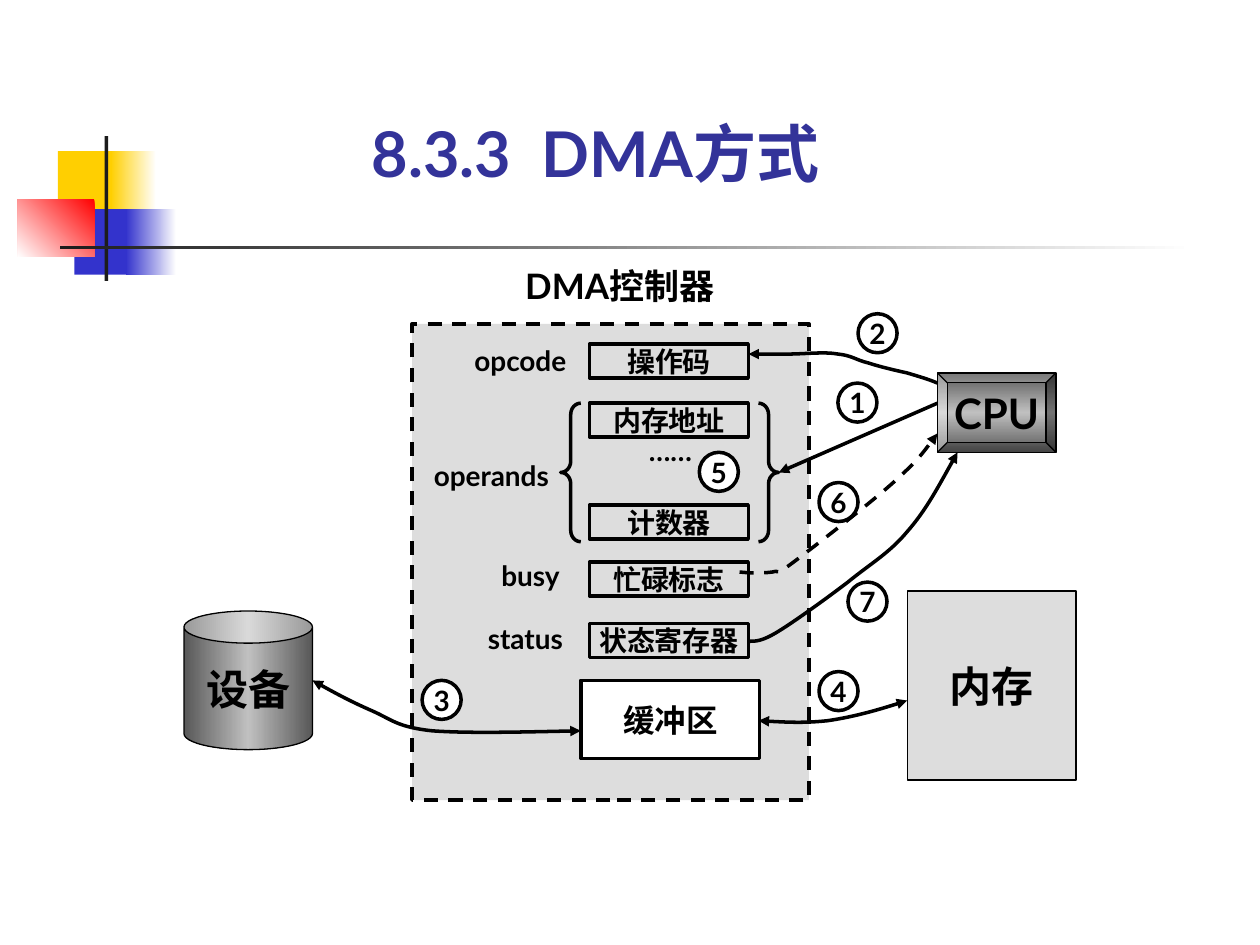
from copy import deepcopy
from lxml import etree
from pptx import Presentation, util as u
from pptx.dml.color import RGBColor
from pptx.enum import dml, shapes, text
from pptx.oxml.ns import qn

WIDE, HIGH = 10, 7.5
FONT = "Lato"
HUES = {"ink": "000000", "white": "FFFFFF", "pale": "DDDDDD", "dark": "585858",
        "steel": "C0C0C0", "gold": "FFCF01", "blue": "3333CC", "red": "FF0000",
        "coal": "1C1C1C", "title": "333399"}
KIND = shapes.MSO_SHAPE

# fill: None, one hue, or (angle clockwise, hue, hue, ...)
DECOR = [
    ((0.46, 1.2, 0.48, 0.52), "gold"),
    ((0.88, 1.2, 0.36, 0.52), (180, "white", "gold")),
    ((0.59, 1.66, 0.46, 0.52), "blue"),
    ((1, 1.66, 0.4, 0.52), (180, "white", "blue")),
    ((0.14, 1.58, 0.61, 0.46), (135, "red", "white")),
    ((0.83, 1.08, 0.03, 1.15), "coal"),
    ((0.48, 1.95, 9, 0.03), (180, "white", "coal")),
]
TITLE = "8.3.3  DMA方式"
REG_X, REG_W, ROW = 4.68, 1.26, 0.27
REGS = [("操作码", 2.73), ("内存地址", 3.2), ("计数器", 4.01),
        ("忙碌标志", 4.46), ("状态寄存器", 4.95)]
# text, centre x, top, width, size
LABELS = [("DMA控制器", 4.92, 2.1, 1.73, 20), ("opcode", 4.13, 2.73, 0.94, 16),
          ("operands", 3.9, 3.64, 1.1, 16), ("busy", 4.21, 4.43, 0.79, 16),
          ("status", 4.17, 4.93, 0.86, 16), ("……", 5.32, 3.44, 0.63, 16)]
BRACES = [(KIND.LEFT_BRACE, 4.45), (KIND.RIGHT_BRACE, 6.02)]
DOT = 0.31
STEPS = [("1", 6.65, 3.04, None), ("2", 6.81, 2.49, None), ("3", 3.35, 5.4, "white"),
         ("4", 6.5, 5.33, None), ("5", 5.55, 3.59, "white"), ("6", 6.5, 3.83, None),
         ("7", 6.73, 4.62, None)]
# Bezier points (start, then three per piece), arrow at both ends, dashed
CURVES = [
    ([(7.44, 3.04), (7.37, 3.01), (7.3, 2.99), (7.2, 2.96), (7.11, 2.94), (6.98, 2.91),
      (6.89, 2.88), (6.8, 2.86), (6.76, 2.82), (6.65, 2.81), (6.55, 2.79), (6.38, 2.81),
      (6.26, 2.81), (6.14, 2.81), (6.04, 2.81), (5.94, 2.81)], False, False),
    ([(2.48, 5.4), (2.64, 5.49), (2.79, 5.57), (2.95, 5.64), (3.11, 5.71), (3.15, 5.77),
      (3.43, 5.8), (3.7, 5.82), (4.15, 5.81), (4.61, 5.8)], True, False),
    ([(6.02, 5.72), (6.2, 5.73), (6.38, 5.74), (6.57, 5.72), (6.77, 5.69), (6.99, 5.63),
      (7.2, 5.56)], True, False),
    ([(5.87, 4.54), (5.96, 4.55), (6.06, 4.55), (6.13, 4.54), (6.2, 4.52), (6.14, 4.58),
      (6.3, 4.46), (6.46, 4.34), (6.9, 4), (7.09, 3.83), (7.28, 3.66), (7.36, 3.55),
      (7.44, 3.44)], False, True),
    ([(5.94, 5.09), (6, 5.09), (6.05, 5.09), (6.18, 5.01), (6.31, 4.93), (6.56, 4.75),
      (6.73, 4.62), (6.9, 4.48), (7.06, 4.39), (7.2, 4.22), (7.35, 4.05), (7.47, 3.82),
      (7.6, 3.59)], False, False),
]

deck = Presentation()
deck.slide_width, deck.slide_height = u.Inches(WIDE), u.Inches(HIGH)
slide = deck.slides.add_slide(deck.slide_layouts[6])


def hue(name):
    return RGBColor.from_string(HUES[name])


def paint(item, fill):
    if fill is None:
        item.fill.background()
    elif isinstance(fill, str):
        item.fill.solid()
        item.fill.fore_color.rgb = hue(fill)
    else:
        turn, *names = fill
        item.fill.gradient()
        item.fill.gradient_angle = 360 - turn
        stops = item._element.spPr.find(".//" + qn("a:gsLst"))
        while len(stops) < len(names):
            stops.append(deepcopy(stops[-1]))
        for n, (stop, name) in enumerate(zip(item.fill.gradient_stops, names)):
            stop.position = n / (len(names) - 1)
            stop.color.rgb = hue(name)


def stroke(line, size=2, dash=False):
    line.color.rgb = hue("ink")
    line.width = u.Pt(size)
    if dash:
        line.dash_style = dml.MSO_LINE.DASH


def tip(item, both=False):
    ln = item.line._get_or_add_ln()
    for end in (["headEnd"] if both else []) + ["tailEnd"]:
        etree.SubElement(ln, qn("a:" + end), type="triangle")


def write(item, words, size, tone="ink", side="CENTER", seat="MIDDLE"):
    frame = item.text_frame
    frame.margin_left = frame.margin_right = frame.margin_top = frame.margin_bottom = 0
    frame.word_wrap = False
    frame.vertical_anchor = text.MSO_ANCHOR[seat]
    frame.text = words
    para = frame.paragraphs[0]
    para.alignment = text.PP_ALIGN[side]
    font = para.runs[0].font
    font.name, font.size, font.bold = FONT, u.Pt(size), True
    font.color.rgb = hue(tone)


def place(kind, spot, fill=None, line=2, words="", size=16, dash=False):
    item = slide.shapes.add_shape(kind, *map(u.Inches, spot))
    item.shadow.inherit = False
    paint(item, fill)
    if line:
        stroke(item.line, line, dash)
    else:
        item.line.fill.background()
    if words:
        write(item, words, size)
    return item


def label(spot, *args):
    write(slide.shapes.add_textbox(*map(u.Inches, spot)), *args)


def bend(pts):
    """Add an open outline whose points are taken three by three as Bezier pieces."""
    first, *rest = [(u.Inches(x), u.Inches(y)) for x, y in pts]
    pen = slide.shapes.build_freeform(*first, scale=1.0)
    pen.add_line_segments(rest, close=False)
    item = pen.convert_to_shape()
    legs = list(item._element.spPr.iter(qn("a:lnTo")))
    for i in range(0, len(legs), 3):
        piece = etree.Element(qn("a:cubicBezTo"))
        legs[i].addprevious(piece)
        for leg in legs[i:i + 3]:
            piece.append(leg[0])
            leg.getparent().remove(leg)
    return item


for spot, fill in DECOR:
    place(KIND.RECTANGLE, spot, fill, 0)
label((2.95, 0.91, 4.09, 0.6), TITLE, 36, "title", "LEFT", "BOTTOM")

place(KIND.CAN, (1.46, 4.85, 1.02, 1.1), (180, "dark", "steel", "dark"), 0.75, "设备", 24)
place(KIND.RECTANGLE, (3.27, 2.57, 3.15, 3.78), "pale", dash=True)
for words, top in REGS:
    place(KIND.RECTANGLE, (REG_X, top, REG_W, ROW), words=words)
place(KIND.RECTANGLE, (4.61, 5.4, 1.42, 0.62), "white", words="缓冲区", size=18)
for words, mid, top, wide, size in LABELS:
    label((mid - wide / 2, top, wide, size / 60), words, size)
for kind, left in BRACES:
    place(kind, (left, 3.2, 0.16, 1.1)).adjustments[0] = 0.56
place(KIND.BEVEL, (7.44, 2.96, 0.94, 0.63), (90, "dark", "steel", "dark"), 0.75, "CPU", 24)
place(KIND.RECTANGLE, (7.2, 4.69, 1.34, 1.5), "pale", 0.75, "内存", 24)

wire = slide.shapes.add_connector(shapes.MSO_CONNECTOR.STRAIGHT,
                                  *map(u.Inches, (7.44, 3.2, 6.18, 3.75)))
stroke(wire.line)
tip(wire)
etree.SubElement(wire._element.spPr, qn("a:effectLst"))
for pts, both, dash in CURVES:
    curve = bend(pts)
    curve.shadow.inherit = False
    paint(curve, None)
    stroke(curve.line, dash=dash)
    tip(curve, both)
for words, left, top, fill in STEPS:
    place(KIND.OVAL, (left, top, DOT, DOT), fill, words=words)

deck.save("out.pptx")
